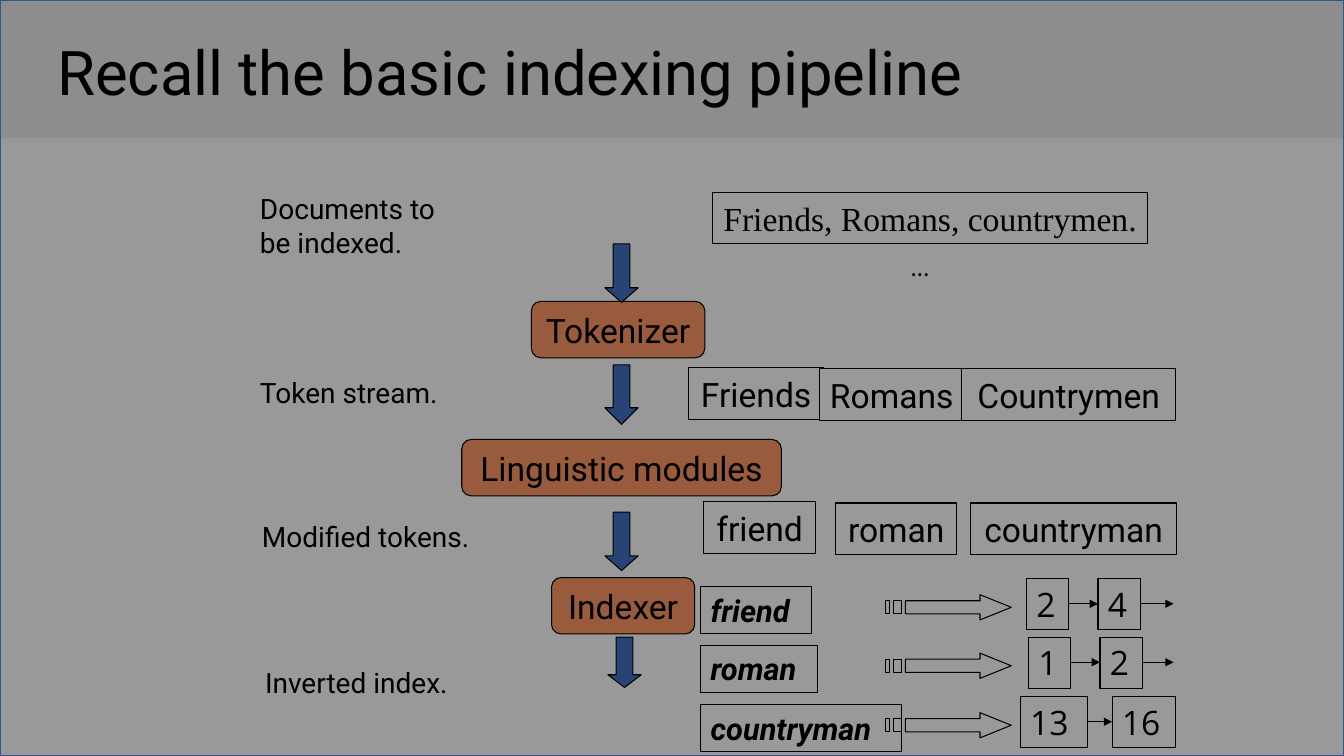
from lxml.etree import SubElement
from pptx import Presentation
from pptx.dml.color import RGBColor
from pptx.enum.shapes import MSO_CONNECTOR, MSO_SHAPE
from pptx.enum.text import MSO_ANCHOR, MSO_AUTO_SIZE, PP_ALIGN
from pptx.oxml.ns import qn
from pptx.util import Inches, Pt

BLACK = "000000"
WHITE = "FFFFFF"
STAGE_ORANGE = "FF9966"
FLOW_BLUE = "4472C4"

TITLE = {"name": "Roboto", "size": Pt(44)}
LABEL = {"name": "Roboto", "size": Pt(20)}
TOKEN = {"name": "Roboto", "size": Pt(24)}
DOCUMENT = {"name": "Times New Roman", "size": Pt(24)}
TERM = {"name": "Roboto", "size": Pt(22), "bold": True, "italic": True}
POSTING = {"name": "Open Sans", "size": Pt(24)}
ELLIPSIS = {"name": "Calibri", "size": Pt(18)}

# Text, left, top, width, height
STAGES = [
    ("Tokenizer", 5.27, 2.99, 1.72, 0.56),
    ("Linguistic modules", 4.58, 4.36, 3.17, 0.56),
    ("Indexer", 5.47, 5.73, 1.42, 0.56),
]
LABELS = [
    ("Documents to\nbe indexed.", 2.48, 1.85, 2.01, 0.77),
    ("Token stream.", 2.48, 3.68, 1.98, 0.44),
    ("Modified tokens.", 2.5, 5.1, 2.36, 0.44),
    ("Inverted index.", 2.53, 6.55, 2.12, 0.44),
]
TOKENS = [
    ("Friends", 6.83, 3.65, 1.34, 0.51),
    ("Romans", 8.13, 3.66, 1.43, 0.51),
    ("Countrymen", 9.54, 3.66, 2.12, 0.51),
    ("friend", 6.98, 4.98, 1.11, 0.51),
    ("roman", 8.29, 4.99, 1.2, 0.51),
    ("countryman", 9.63, 4.99, 2.04, 0.51),
]
# Left, top, height, head length relative to width
DOWN_ARROWS = [
    (6, 2.42, 0.58, 0.44),
    (6, 3.62, 0.59, 0.5),
    (6, 5.08, 0.58, 0.44),
    (6.03, 6.32, 0.5, 0.38),
]
# Term, top, term width, postings as (number, left, width), end of last link
INDEX = [
    ("friend", 5.82, 1.1, [("2", 10.18, 0.42), ("4", 10.89, 0.42)], 11.64),
    ("roman", 6.4, 1.16, [("1", 10.2, 0.42), ("2", 10.91, 0.42)], 11.64),
    ("countryman", 6.99, 1.99, [("13", 10.12, 0.67), ("16", 11.03, 0.63)], None),
]


def color(hex_code):
    return RGBColor.from_string(hex_code)


def set_opacity(shape, percent):
    fill_color = shape.fill._xPr.find(qn("a:solidFill"))[0]
    SubElement(fill_color, qn("a:alpha")).set("val", str(percent * 1000))


def style(shape, fill=None, line=BLACK, weight=0.75):
    shape.shadow.inherit = False
    if fill:
        shape.fill.solid()
        shape.fill.fore_color.rgb = color(fill)
    else:
        shape.fill.background()
    if line:
        shape.line.color.rgb = color(line)
        shape.line.width = Pt(weight)
    else:
        shape.line.fill.background()


def write(shape, text, font, align=PP_ALIGN.LEFT, anchor=MSO_ANCHOR.TOP,
          wrap=False, grow=True):
    frame = shape.text_frame
    frame.word_wrap = wrap
    frame.auto_size = MSO_AUTO_SIZE.SHAPE_TO_FIT_TEXT if grow else MSO_AUTO_SIZE.NONE
    frame.vertical_anchor = anchor
    frame.text = text
    for paragraph in frame.paragraphs:
        paragraph.alignment = align
        for name, value in font.items():
            setattr(paragraph.font, name, value)
        paragraph.font.color.rgb = color(BLACK)


def add_preset(slide, kind, box, **look):
    shape = slide.shapes.add_shape(kind, *map(Inches, box))
    style(shape, **look)
    return shape


def add_label(slide, text, box, font, **layout):
    label = slide.shapes.add_textbox(*map(Inches, box))
    write(label, text, font, **layout)
    return label


def add_centered_box(slide, kind, text, box, fill, font, wrap=False):
    shape = add_preset(slide, kind, box, fill=fill)
    write(shape, text, font, PP_ALIGN.CENTER, MSO_ANCHOR.MIDDLE, wrap)


def add_down_arrow(slide, left, top, height, head):
    arrow = add_preset(slide, MSO_SHAPE.DOWN_ARROW, (left, top, 0.33, height),
                       fill=FLOW_BLUE)
    arrow.adjustments[0] = 0.5
    arrow.adjustments[1] = head


def add_striped_arrow(slide, left, top):
    """Draw an outlined arrow trailed by two separate stripes."""
    upper, lower, bottom = 0.06, 0.19, 0.25
    head = [(0.94, 0), (0.94, upper), (0.2, upper), (0.2, lower),
            (0.94, lower), (0.94, bottom), (1.25, bottom / 2)]
    stripes = [[(start, upper), (start, lower), (end, lower), (end, upper)]
               for start, end in [(0.08, 0.16), (0, 0.04)]]
    outlines = [[(Inches(left + x), Inches(top + y)) for x, y in outline]
                for outline in [head, *stripes]]
    builder = slide.shapes.build_freeform(*outlines[0][0])
    for index, (first, *rest) in enumerate(outlines):
        if index:
            builder.move_to(*first)
        builder.add_line_segments(rest, close=True)
    style(builder.convert_to_shape())


def add_link(slide, start, end, height):
    link = slide.shapes.add_connector(
        MSO_CONNECTOR.STRAIGHT, *map(Inches, (start, height, end, height)))
    link.line.color.rgb = color(BLACK)
    link.line.width = Pt(0.75)
    SubElement(link.line._get_or_add_ln(), qn("a:tailEnd")).set("type", "triangle")
    SubElement(link._element.spPr, qn("a:effectLst"))


def add_index_row(slide, term, top, term_width, postings, chain_end):
    term_box = add_preset(slide, MSO_SHAPE.RECTANGLE, (6.95, top, term_width, 0.47))
    write(term_box, term, TERM)
    add_striped_arrow(slide, 8.78, top + 0.08)
    for number, left, width in postings:
        posting = add_preset(slide, MSO_SHAPE.RECTANGLE,
                             (left, top - 0.08, width, 0.51))
        write(posting, number, POSTING)
    next_lefts = [left for _, left, _ in postings[1:]] + [chain_end]
    for (_, left, width), target in zip(postings, next_lefts):
        if target:
            add_link(slide, left + width, target, top + 0.17)


def main():
    deck = Presentation()
    deck.slide_width, deck.slide_height = Inches(13.33), Inches(7.5)
    slide = deck.slides.add_slide(deck.slide_layouts[6])

    band = add_preset(slide, MSO_SHAPE.RECTANGLE, (0, 0, 13.33, 1.37),
                      fill="A6A6A6", line=None)
    set_opacity(band, 22)
    title = add_label(slide, "Recall the basic indexing pipeline",
                      (0.47, 0.36, 12.38, 0.78), TITLE,
                      anchor=MSO_ANCHOR.MIDDLE, wrap=True, grow=False)
    title.text_frame.paragraphs[0].line_spacing = 0.9

    for text, *box in LABELS:
        add_label(slide, text, box, LABEL)
    for text, *box in STAGES:
        add_centered_box(slide, MSO_SHAPE.FLOWCHART_ALTERNATE_PROCESS, text, box,
                         STAGE_ORANGE, TOKEN, wrap=text == "Linguistic modules")
    for arrow in DOWN_ARROWS:
        add_down_arrow(slide, *arrow)

    add_centered_box(slide, MSO_SHAPE.RECTANGLE, "Friends, Romans, countrymen.",
                     (7.07, 1.91, 4.31, 0.51), WHITE, DOCUMENT)
    add_label(slide, "…", (8.94, 2.44, 0.28, 0.4), ELLIPSIS, wrap=True)
    for text, *box in TOKENS:
        add_centered_box(slide, MSO_SHAPE.RECTANGLE, text, box, WHITE, TOKEN)
    for row in INDEX:
        add_index_row(slide, *row)

    dimmer = add_preset(slide, MSO_SHAPE.RECTANGLE, (0, 0, 13.33, 7.5),
                        fill=BLACK, line="325491", weight=1)
    set_opacity(dimmer, 40)
    deck.save("out.pptx")


if __name__ == "__main__":
    main()
